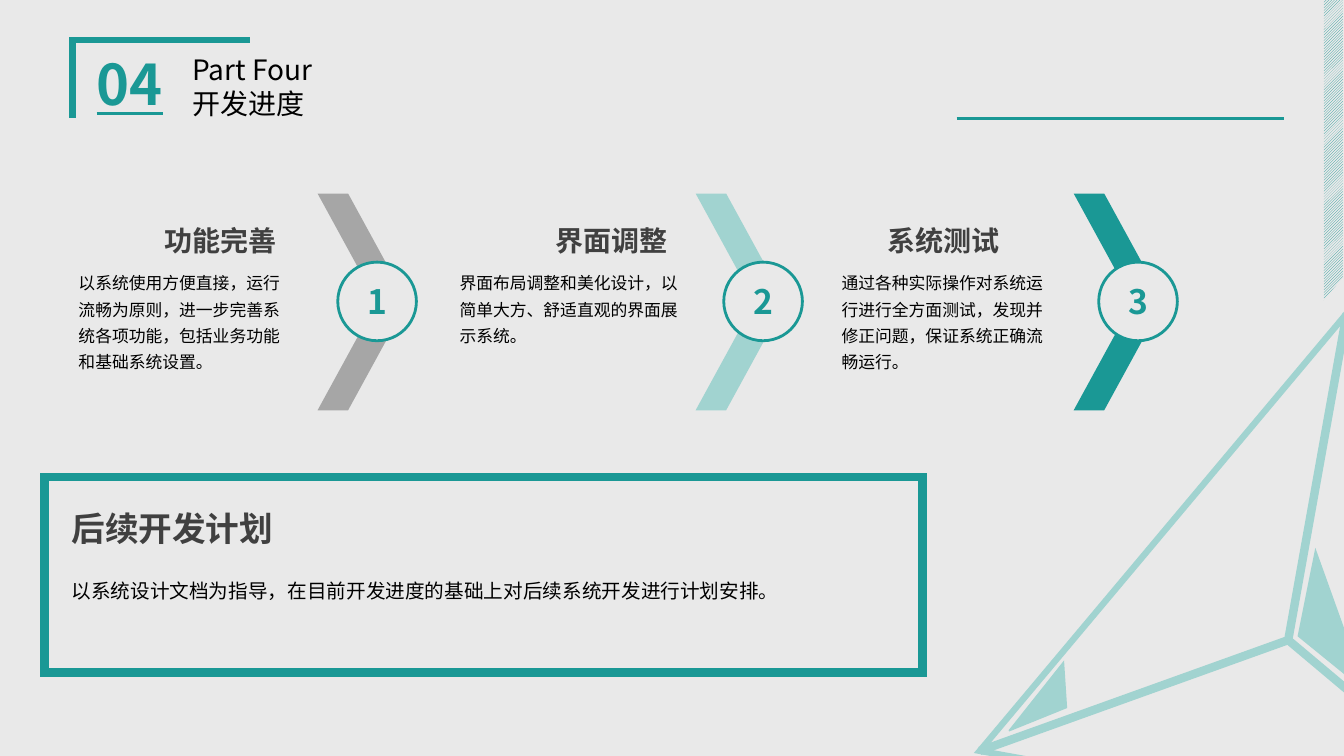
from dataclasses import dataclass

from lxml.etree import SubElement
from pptx import Presentation
from pptx.dml.color import RGBColor
from pptx.enum.dml import MSO_PATTERN as Pattern
from pptx.enum.shapes import MSO_CONNECTOR as Link, MSO_SHAPE as Kind
from pptx.enum.text import MSO_ANCHOR as Anchor, MSO_AUTO_SIZE as Fit, PP_ALIGN as Align
from pptx.oxml.ns import qn
from pptx.util import Inches, Pt

TEAL = RGBColor(0x1A, 0x98, 0x95)
MINT = RGBColor(0xA1, 0xD3, 0xD0)
GREY = RGBColor(0xA6, 0xA6, 0xA6)
PALE = RGBColor(0xE9, 0xE9, 0xE9)
DARK = RGBColor(0x40, 0x40, 0x40)
BLACK = RGBColor(0, 0, 0)
FONT = "Noto Sans CJK SC"

# The grid has 100 columns and 100 rows.
WIDE, HIGH = Inches(13.33), Inches(7.5)
Spot = tuple[float, float]


@dataclass(frozen=True)
class Box:
    col: float
    row: float
    cols: float
    rows: float

    def place(self) -> tuple[int, int, int, int]:
        return (*point((self.col, self.row)), *point((self.cols, self.rows)))


@dataclass(frozen=True)
class Look:
    size: int
    color: RGBColor = BLACK
    bold: bool = False
    under: bool = False
    align: Align = Align.LEFT
    space: float = 1.0


@dataclass(frozen=True)
class Step:
    head: str
    body: str
    color: RGBColor
    head_col: float
    head_cols: float
    align: Align
    body_col: float
    body_cols: float
    disc_col: float


STEPS = (
    Step("功能完善", "以系统使用方便直接，运行流畅为原则，进一步完善系统各项功能，包括业务功能和基础系统设置。",
         GREY, 5.1, 16.2, Align.RIGHT, 5.1, 17.18, 25.13),
    Step("界面调整", "界面布局调整和美化设计，以简单大方、舒适直观的界面展示系统。",
         MINT, 32.7, 17.7, Align.RIGHT, 33.45, 17.93, 53.85),
    Step("系统测试", "通过各种实际操作对系统运行进行全方面测试，发现并修正问题，保证系统正确流畅运行。",
         TEAL, 61.95, 16.5, Align.CENTER, 61.88, 17.63, 81.75),
)
ARROW_COL, ARROW_GAP = 23.63, 28.13

HUB = (95.85, 84.67)
HALO = ((69.53, 101.73), (117.53, 117.2), (100.88, 35.33))
TIPS = ((72.9, 99.33), (114.68, 112.8), (100.2, 41.47))
LEAVES = (
    ((96.6, 84.13), (101.63, 91.4), (97.88, 72.8)),
    ((79.35, 93.6), (79.13, 87.6), (75.08, 96.67)),
)


def point(spot: Spot) -> tuple[int, int]:
    return round(spot[0] * WIDE / 100), round(spot[1] * HIGH / 100)


def paint(shape, fill: RGBColor | None, edge: RGBColor | None = None, width: float = 1) -> None:
    """Set fill and outline, with square corners and no shadow."""
    shape.shadow.inherit = False
    if fill is None:
        shape.fill.background()
    else:
        shape.fill.solid()
        shape.fill.fore_color.rgb = fill
    if edge is None:
        shape.line.fill.background()
    else:
        shape.line.color.rgb = edge
        shape.line.width = Pt(width)
        SubElement(shape.line._ln, qn("a:miter"), lim="800000")


def write(frame, lines: tuple[str, ...], look: Look) -> None:
    frame.word_wrap = True
    frame.auto_size = Fit.NONE
    for i, line in enumerate(lines):
        para = frame.paragraphs[0] if i == 0 else frame.add_paragraph()
        para.text = line
        para.alignment = look.align
        para.line_spacing = look.space
        font = para.font
        font.name, font.size = FONT, Pt(look.size)
        font.bold, font.underline = look.bold, look.under
        font.color.rgb = look.color
        SubElement(font._element, qn("a:ea"), typeface=FONT)


def note(slide, text: str, box: Box, look: Look) -> None:
    write(slide.shapes.add_textbox(*box.place()).text_frame, (text,), look)


def solid(slide, kind: Kind, box: Box):
    return slide.shapes.add_shape(kind, *box.place())


def outline(slide, spots: tuple[Spot, ...], close: bool = True):
    first, *rest = map(point, spots)
    pen = slide.shapes.build_freeform(*first)
    pen.add_line_segments(rest, close=close)
    return pen.convert_to_shape()


def rule(slide, start: Spot, end: Spot, color: RGBColor, width: float) -> None:
    line = slide.shapes.add_connector(Link.STRAIGHT, *point(start), *point(end))
    line.line.color.rgb = color
    line.line.width = Pt(width)
    SubElement(line._element.spPr, qn("a:effectLst"))


def decor(slide) -> None:
    strip = solid(slide, Kind.RECTANGLE, Box(98.5, 0, 1.42, 100))
    paint(strip, None)
    strip.fill.patterned()
    strip.fill.pattern = Pattern.LIGHT_UPWARD_DIAGONAL
    strip.fill.fore_color.rgb = TEAL
    strip.fill.back_color.rgb = PALE

    paint(outline(slide, HALO), PALE, PALE, 4.5)
    paint(outline(slide, TIPS), PALE, MINT, 4.5)
    for tip in TIPS:
        rule(slide, tip, HUB, MINT, 6)
    for leaf in LEAVES:
        paint(outline(slide, leaf), MINT, MINT)


def header(slide) -> None:
    bracket = outline(slide, ((5.4, 15.6), (5.4, 5.33), (18.6, 5.33)), close=False)
    paint(bracket, None, TEAL, 4.5)
    rule(slide, (71.18, 15.73), (95.55, 15.73), TEAL, 2.25)
    note(slide, "04", Box(6.45, 5.87, 7.13, 10.27), Look(40, TEAL, True, True))
    title = slide.shapes.title
    title.left, title.top, title.width, title.height = Box(13.58, 6.27, 18, 10.27).place()
    title.text_frame.vertical_anchor = Anchor.TOP
    write(title.text_frame, ("Part Four", "开发进度"), Look(20))


def stage(slide, i: int, step: Step) -> None:
    arrow = solid(slide, Kind.CHEVRON, Box(ARROW_COL + i * ARROW_GAP, 25.6, 6.68, 28.67))
    arrow.adjustments[0] = 0.66
    paint(arrow, step.color)
    disc = solid(slide, Kind.OVAL, Box(step.disc_col, 34.67, 5.85, 10.4))
    paint(disc, PALE, TEAL, 2)
    disc.text_frame.vertical_anchor = Anchor.MIDDLE
    write(disc.text_frame, (str(i + 1),), Look(24, TEAL, True, align=Align.CENTER))
    note(slide, step.head, Box(step.head_col, 28.93, step.head_cols, 5.87),
         Look(20, DARK, True, align=step.align))
    note(slide, step.body, Box(step.body_col, 34.67, step.body_cols, 15.33),
         Look(12, space=1.3))


def plan(slide) -> None:
    note(slide, "后续开发计划", Box(4.58, 66.53, 18, 6.67), Look(24, DARK, True))
    note(slide, "以系统设计文档为指导，在目前开发进度的基础上对后续系统开发进行计划安排。",
         Box(4.58, 74.93, 59.4, 5.07), Look(14, align=Align.JUSTIFY, space=1.3))
    paint(solid(slide, Kind.RECTANGLE, Box(3.3, 63.07, 65.33, 25.87)), None, TEAL, 6)


def main() -> None:
    deck = Presentation()
    deck.slide_width, deck.slide_height = WIDE, HIGH
    slide = deck.slides.add_slide(deck.slide_layouts[5])
    slide.background.fill.solid()
    slide.background.fill.fore_color.rgb = PALE
    decor(slide)
    header(slide)
    for i, step in enumerate(STEPS):
        stage(slide, i, step)
    plan(slide)
    deck.save("out.pptx")


if __name__ == "__main__":
    main()
